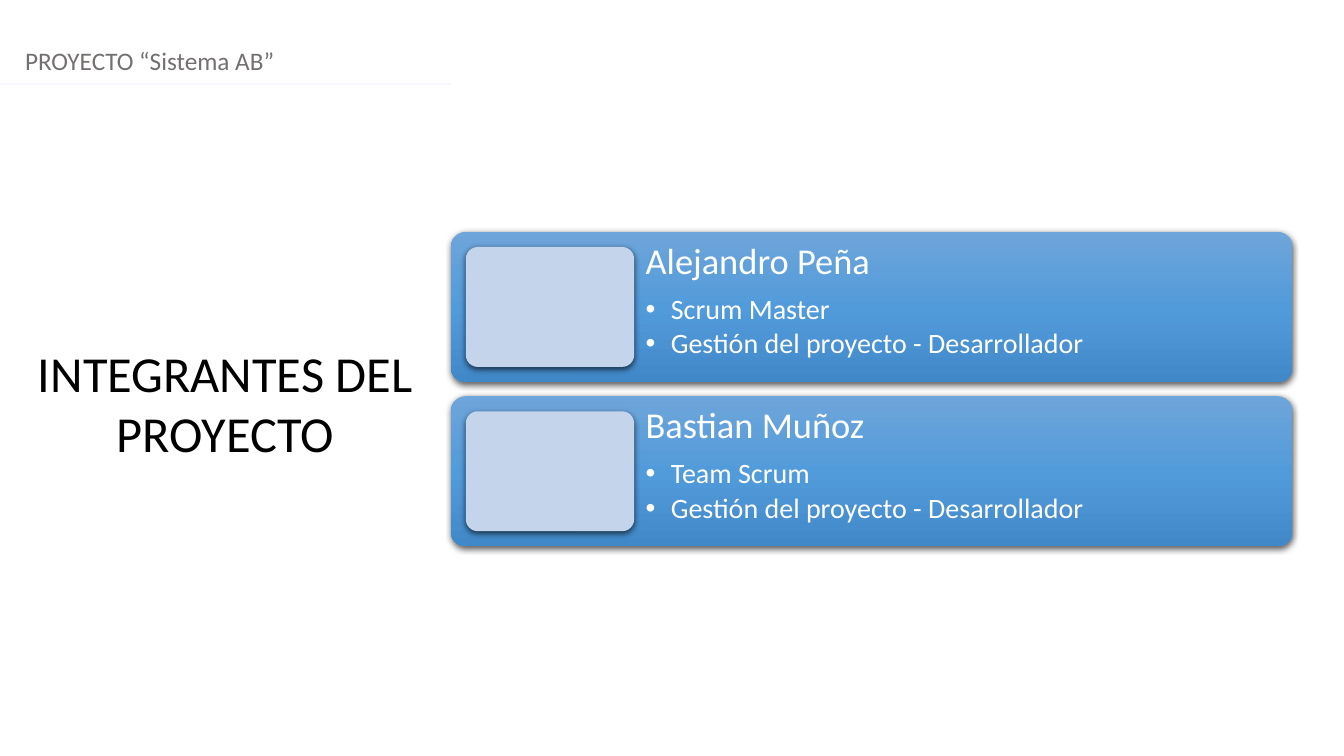
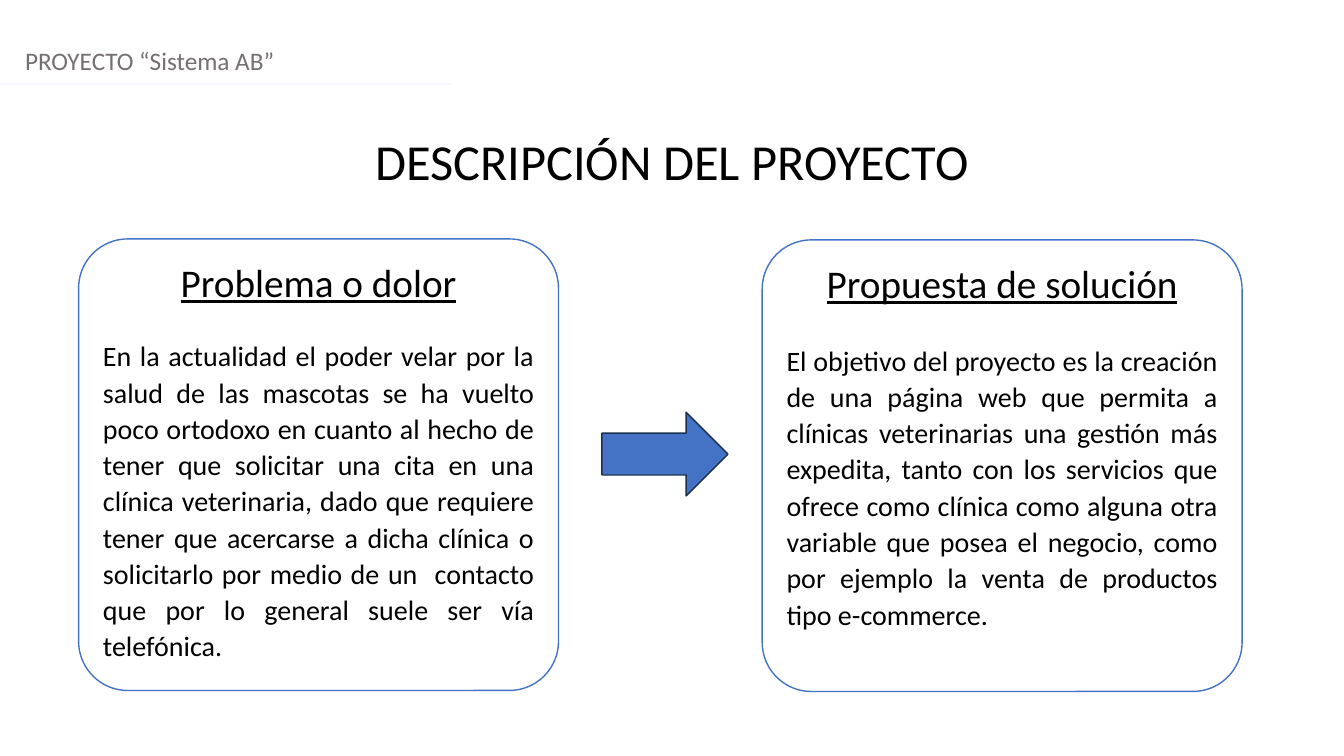
import copy

import lxml.etree
import pptx
import pptx.dml.color
import pptx.enum.shapes
import pptx.enum.text
import pptx.oxml.ns
import pptx.util

RGB = pptx.dml.color.RGBColor
SHAPE = pptx.enum.shapes.MSO_SHAPE
ALIGN = pptx.enum.text.PP_ALIGN
ANCHOR = pptx.enum.text.MSO_ANCHOR
qn = pptx.oxml.ns.qn

WHITE = RGB(0xFF, 0xFF, 0xFF)
BLACK = RGB(0x00, 0x00, 0x00)
GREY = RGB(0x75, 0x70, 0x70)
PALE_RULE = RGB(0xF5, 0xF7, 0xFC)
PALE_BLUE = RGB(0xC3, 0xD4, 0xEB)
BLUE = RGB(0x44, 0x72, 0xC4)
NAVY = RGB(0x1C, 0x30, 0x52)
CARD_BLUES = [(0, RGB(0x6E, 0xA5, 0xDA)), (0.5, RGB(0x52, 0x9B, 0xDA)), (1, RGB(0x41, 0x88, 0xC8))]

FONT = "Calibri"
EMU_PER_PX = 9144
TITLE_ONLY = 5

MEMBERS = [
    ("Alejandro Peña", ["Scrum Master", "Gestión del proyecto - Desarrollador"]),
    ("Bastian Muñoz", ["Team Scrum", "Gestión del proyecto - Desarrollador"]),
]
PROBLEM = (
    "En la actualidad el poder velar por la salud de las mascotas se ha vuelto poco ortodoxo "
    "en cuanto al hecho de tener que solicitar una cita en una clínica veterinaria, dado que "
    "requiere tener que acercarse a dicha clínica o solicitarlo por medio de un  contacto que "
    "por lo general suele ser vía telefónica."
)
SOLUTION = (
    "El objetivo del proyecto es la creación de una página web que permita a clínicas "
    "veterinarias una gestión más expedita, tanto con los servicios que ofrece como clínica "
    "como alguna otra variable que posea el negocio, como por ejemplo la venta de productos "
    "tipo e-commerce."
)


def px(*lengths):
    """Turn px lengths into a list of EMU lengths."""
    return [pptx.util.Emu(length * EMU_PER_PX) for length in lengths]


def set_frame(frame, insets=(10, 5, 10, 5), anchor=ANCHOR.TOP):
    """Give a text frame wrapping, insets and an anchor."""
    frame.word_wrap = True
    frame.auto_size = pptx.enum.text.MSO_AUTO_SIZE.NONE
    frame.vertical_anchor = anchor
    (frame.margin_left, frame.margin_top,
     frame.margin_right, frame.margin_bottom) = px(*insets)


def add_text(frame, text, size, color, align=ALIGN.LEFT, spacing=1.0, before=0, after=0, underline=False):
    """Fill the first empty paragraph, or add one, with a single run."""
    para = frame.paragraphs[-1]
    if para.runs:
        para = frame.add_paragraph()
    para.alignment = align
    para.line_spacing = spacing
    para.space_before = pptx.util.Pt(before)
    para.space_after = pptx.util.Pt(after)
    span = para.add_run()
    span.text = text
    span.font.name = FONT
    span.font.size = pptx.util.Pt(size)
    span.font.color.rgb = color
    span.font.underline = underline
    return para


def add_bullet(para, indent):
    """Hang a white bullet in front of a paragraph."""
    properties = para._p.get_or_add_pPr()
    distance = px(indent)[0]
    properties.set("marL", str(distance))
    properties.set("indent", str(-distance))
    bullet_color = lxml.etree.SubElement(properties, qn("a:buClr"))
    lxml.etree.SubElement(bullet_color, qn("a:srgbClr"), val=str(WHITE))
    lxml.etree.SubElement(properties, qn("a:buFont"), typeface="Arial")
    lxml.etree.SubElement(properties, qn("a:buChar"), char="•")


def add_panel(page, kind, box, fill=None, line=None, corner=None):
    """Add a flat preset shape."""
    panel = page.shapes.add_shape(kind, *px(*box))
    panel.shadow.inherit = False
    if corner is not None:
        panel.adjustments[0] = corner
    if fill is not None:
        panel.fill.solid()
        panel.fill.fore_color.rgb = fill
    if line is None:
        panel.line.fill.background()
    else:
        panel.line.color.rgb = line
        panel.line.width = pptx.util.Pt(1)
    return panel


def add_shadow(panel):
    """Drop a soft shadow below a panel."""
    effects = panel._element.spPr.find(qn("a:effectLst"))
    shadow = lxml.etree.SubElement(
        effects, qn("a:outerShdw"), blurRad="57150", dist="19050", dir="5400000", algn="ctr", rotWithShape="0")
    color = lxml.etree.SubElement(shadow, qn("a:srgbClr"), val=str(BLACK))
    lxml.etree.SubElement(color, qn("a:alpha"), val="63000")


def fill_gradient(panel, colors):
    """Fill a panel from top to bottom with three colours."""
    panel.fill.gradient()
    panel.fill.gradient_angle = 270
    stops = panel._element.spPr.find(".//" + qn("a:gsLst"))
    stops.append(copy.deepcopy(stops[0]))
    for stop, (position, color) in zip(panel.fill.gradient_stops, colors):
        stop.position = position
        stop.color.rgb = color


def add_page(deck, title, title_box):
    """Add a slide with the running header, its rule and a title."""
    page = deck.slides.add_slide(deck.slide_layouts[TITLE_ONLY])
    heading = page.shapes.title
    heading.left, heading.top, heading.width, heading.height = px(*title_box)
    set_frame(heading.text_frame)
    add_text(heading.text_frame, title, 36, BLACK, ALIGN.CENTER)

    header = page.shapes.add_textbox(*px(15, 40, 1303, 40))
    set_frame(header.text_frame)
    add_text(header.text_frame, "PROYECTO “Sistema AB”", 18, GREY)

    rule = page.shapes.add_connector(pptx.enum.shapes.MSO_CONNECTOR.STRAIGHT, *px(0, 83, 447, 83))
    rule.line.color.rgb = PALE_RULE
    rule.line.width = pptx.util.Pt(1.25)
    lxml.etree.SubElement(rule._element.spPr, qn("a:effectLst"))
    return page


def add_member_card(page, box, name, roles):
    """Add a member card with a portrait panel, a name and roles."""
    left, top, width, height = box
    margin, portrait_width = 15, 167
    card = add_panel(page, SHAPE.ROUNDED_RECTANGLE, box, corner=0.1)
    fill_gradient(card, CARD_BLUES)
    add_shadow(card)
    frame = card.text_frame
    set_frame(frame, (margin + portrait_width + 7, 7, 7, 7))
    add_text(frame, name, 26, WHITE, spacing=0.9)
    for index, role in enumerate(roles):
        para = add_text(frame, role, 20, WHITE, spacing=0.9, before=3 if index else 9.1)
        add_bullet(para, 25)

    portrait_box = (left + margin, top + margin, portrait_width, height - 2 * margin)
    portrait = add_panel(page, SHAPE.ROUNDED_RECTANGLE, portrait_box, PALE_BLUE, corner=0.1)
    add_shadow(portrait)


def add_statement(page, box, heading, body, gap):
    """Add an outlined box with an underlined heading and justified text."""
    panel = add_panel(page, SHAPE.ROUNDED_RECTANGLE, box, WHITE, BLUE, 0.109)
    set_frame(panel.text_frame)
    add_text(panel.text_frame, heading, 28, BLACK, ALIGN.CENTER, after=gap, underline=True)
    add_text(panel.text_frame, body, 20, BLACK, ALIGN.JUSTIFY, spacing=1.08)


def add_members_page(deck):
    """Build the slide of project members."""
    page = add_page(deck, "INTEGRANTES DEL PROYECTO", (26, 334, 395, 131))
    card_height, gap = 149, 14
    for index, (name, roles) in enumerate(MEMBERS):
        top = 230 + index * (card_height + gap)
        add_member_card(page, (447, top, 835, card_height), name, roles)


def add_description_page(deck):
    """Build the slide that leads from problem to solution."""
    page = add_page(deck, "DESCRIPCIÓN DEL PROYECTO", (0, 124, 1333, 71))
    add_statement(page, (78, 237, 476, 448), "Problema o dolor", PROBLEM, 22)
    add_statement(page, (756, 238, 476, 448), "Propuesta de solución", SOLUTION, 24.4)
    add_panel(page, SHAPE.RIGHT_ARROW, (597, 409, 125, 83), BLUE, NAVY)


def main():
    """Build and save the deck."""
    deck = pptx.Presentation()
    deck.slide_width, deck.slide_height = px(1333, 750)
    add_members_page(deck)
    add_description_page(deck)
    deck.save("out.pptx")


if __name__ == "__main__":
    main()
